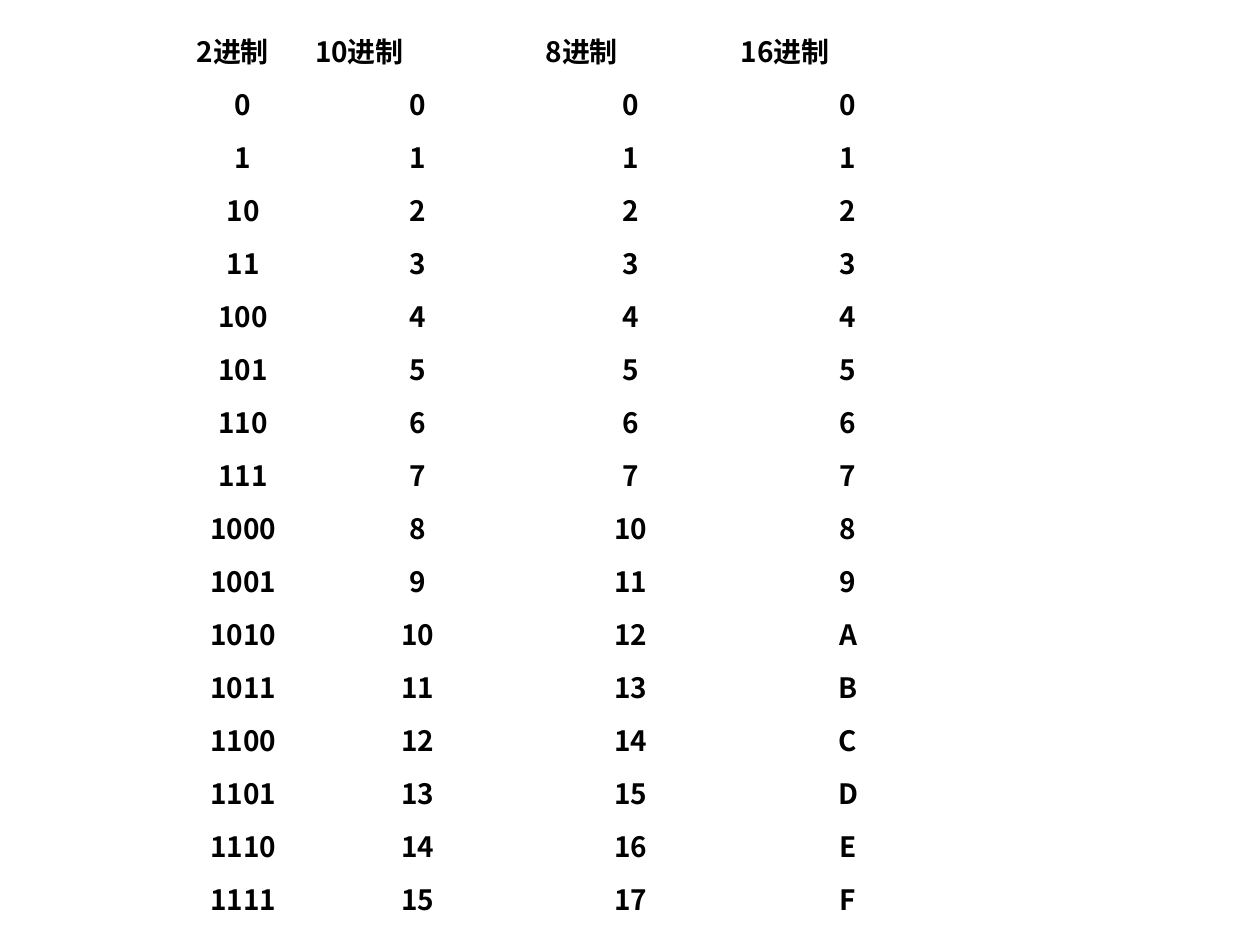
from lxml.etree import SubElement
from pptx import Presentation
from pptx.dml.color import RGBColor
from pptx.enum.text import MSO_ANCHOR as Anchor, PP_ALIGN as Align
from pptx.oxml.ns import qn
from pptx.util import Pt

BLACK = RGBColor(0, 0, 0)
FONT = "Noto Sans CJK SC"
HEADERS = ("2进制", "10进制", "8进制", "16进制")
FORMATS = ("b", "d", "o", "X")
COL_WIDTHS = (67.7, 131.8, 111.6, 136.8)
ROW_HEIGHT = 26.5
LEFT, TOP = 105.1, 13.7


def add_run(p, text):
    r = p.add_run()
    r.text = text
    font = r.font
    font.name, font.size, font.bold = FONT, Pt(16), True
    font.color.rgb = BLACK
    SubElement(r._r.get_or_add_rPr(), qn("a:ea"), typeface=FONT)


def fill_cell(cell, text, align):
    cell.fill.background()
    cell.vertical_anchor = Anchor.MIDDLE
    p = cell.text_frame.paragraphs[0]
    p.alignment = align
    add_run(p, text)


def add_number_table(s, rows):
    frame = s.shapes.add_table(
        len(rows), len(COL_WIDTHS), Pt(LEFT), Pt(TOP),
        Pt(sum(COL_WIDTHS)), Pt(ROW_HEIGHT * len(rows)))
    table = frame.table
    table.first_row = table.horz_banding = False
    for column, width in zip(table.columns, COL_WIDTHS):
        column.width = Pt(width)
    for i, row in enumerate(rows):
        table.rows[i].height = Pt(ROW_HEIGHT)
        for j, text in enumerate(row):
            fill_cell(table.cell(i, j), text, Align.CENTER if i else Align.LEFT)


def main():
    """Build a slide listing 0 to 15 in four number bases."""
    prs = Presentation()
    prs.slide_width, prs.slide_height = Pt(720), Pt(540)
    s = prs.slides.add_slide(prs.slide_layouts[6])
    numbers = [[format(n, base) for base in FORMATS] for n in range(16)]
    add_number_table(s, [HEADERS, *numbers])
    prs.save("out.pptx")


if __name__ == "__main__":
    main()
